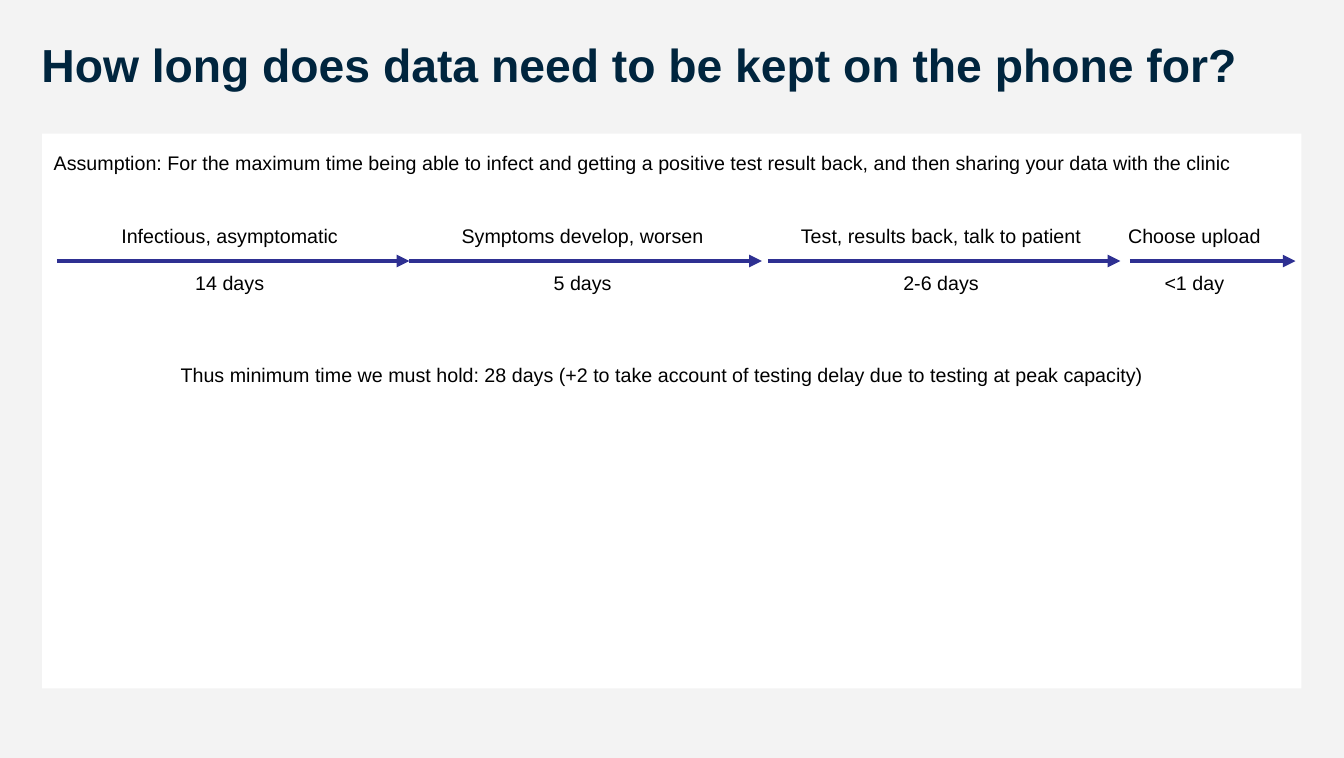
from lxml import etree
from pptx import Presentation
from pptx import util as u
from pptx.dml.color import RGBColor
from pptx.enum import shapes, text
from pptx.oxml.ns import qn

COLOURS = {"background": "F3F3F3", "panel": "FFFFFF", "title": "00253E",
           "body": "000000", "arrow": "2E3092"}


def colour(name):
    """Return the named colour."""
    return RGBColor.from_string(COLOURS[name])


def add_text(slide, lines, left, top, width, height, size=14, name="body",
             inset=0.25, align=text.PP_ALIGN.LEFT, gap=0):
    """Add a text box with one paragraph per line, gap points apart."""
    frame = slide.shapes.add_textbox(u.Cm(left), u.Cm(top), u.Cm(width), u.Cm(height)).text_frame
    frame.word_wrap = True
    frame.margin_left = frame.margin_right = u.Cm(inset)
    frame.margin_top = frame.margin_bottom = u.Cm(inset)
    frame.text = "\n".join(lines)
    for index, paragraph in enumerate(frame.paragraphs):
        paragraph.alignment = align
        paragraph.space_before = u.Pt(gap if index else 0)
        font = paragraph.runs[0].font
        font.name = "Arial"
        font.size = u.Pt(size)
        font.bold = name == "title"
        font.color.rgb = colour(name)


presentation = Presentation()
presentation.slide_width = u.Cm(33.78)
presentation.slide_height = u.Cm(19.05)
slide = presentation.slides.add_slide(presentation.slide_layouts[6])
slide.background.fill.solid()
slide.background.fill.fore_color.rgb = colour("background")

panel = slide.shapes.add_shape(shapes.MSO_SHAPE.RECTANGLE,
                               u.Cm(1.06), u.Cm(3.36), u.Cm(31.65), u.Cm(13.94))
panel.shadow.inherit = False
panel.fill.solid()
panel.fill.fore_color.rgb = colour("panel")
panel.line.fill.background()

add_text(slide, ["How long does data need to be kept on the phone for?"],
         0.71, 0.57, 32, 1.45, size=33, name="title", inset=0.33)
add_text(slide, ["Assumption: For the maximum time being able to infect and getting a positive "
                 "test result back, and then sharing your data with the clinic"],
         1.1, 3.53, 31.62, 1.19)

# Stage, duration, arrow start, arrow length, label left, label width
stages = [
    ("Infectious, asymptomatic", "14 days", 1.43, 8.86, 1.42, 8.71),
    ("Symptoms develop, worsen", "5 days", 10.29, 8.86, 10.29, 8.71),
    ("Test, results back, talk to patient", "2-6 days", 19.3, 8.86, 19.3, 8.71),
    ("Choose upload", "<1 day", 28.4, 4.16, 27.86, 4.32),
]
arrow_y = u.Cm(6.56)
for stage, duration, start, length, label_left, label_width in stages:
    arrow = slide.shapes.add_connector(shapes.MSO_CONNECTOR.STRAIGHT,
                                       u.Cm(start), arrow_y, u.Cm(start + length), arrow_y)
    arrow.line.color.rgb = colour("arrow")
    arrow.line.width = u.Pt(3)
    etree.SubElement(arrow.line._get_or_add_ln(), qn("a:tailEnd"), type="triangle")
    etree.SubElement(arrow._element.spPr, qn("a:effectLst"))
    add_text(slide, [stage, duration], label_left, 5.38, label_width, 2.16,
             align=text.PP_ALIGN.CENTER, gap=16.5)

add_text(slide, ["Thus minimum time we must hold: 28 days (+2 to take account of testing delay "
                 "due to testing at peak capacity)"],
         4.29, 8.86, 27.23, 3.4)

presentation.save("out.pptx")
